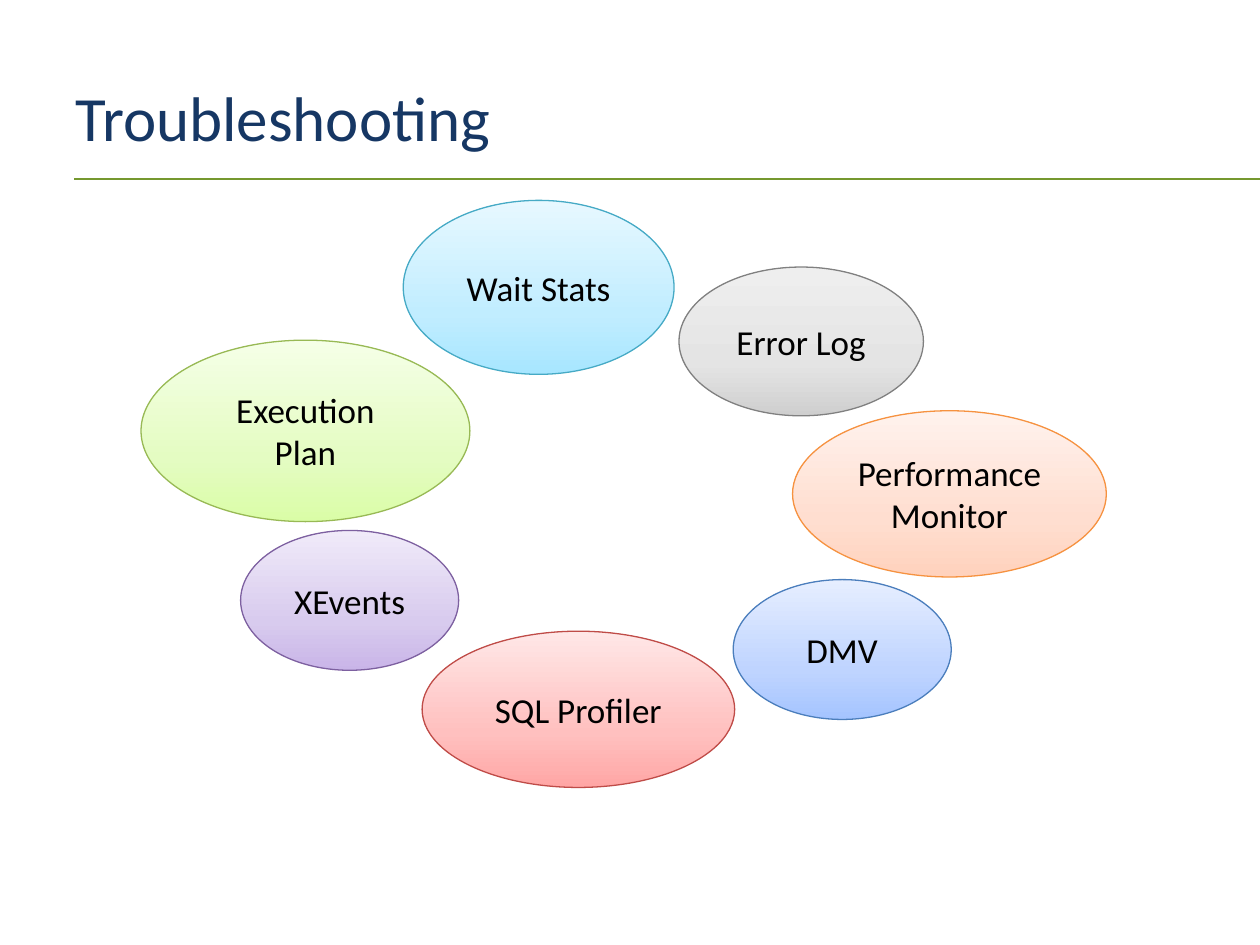
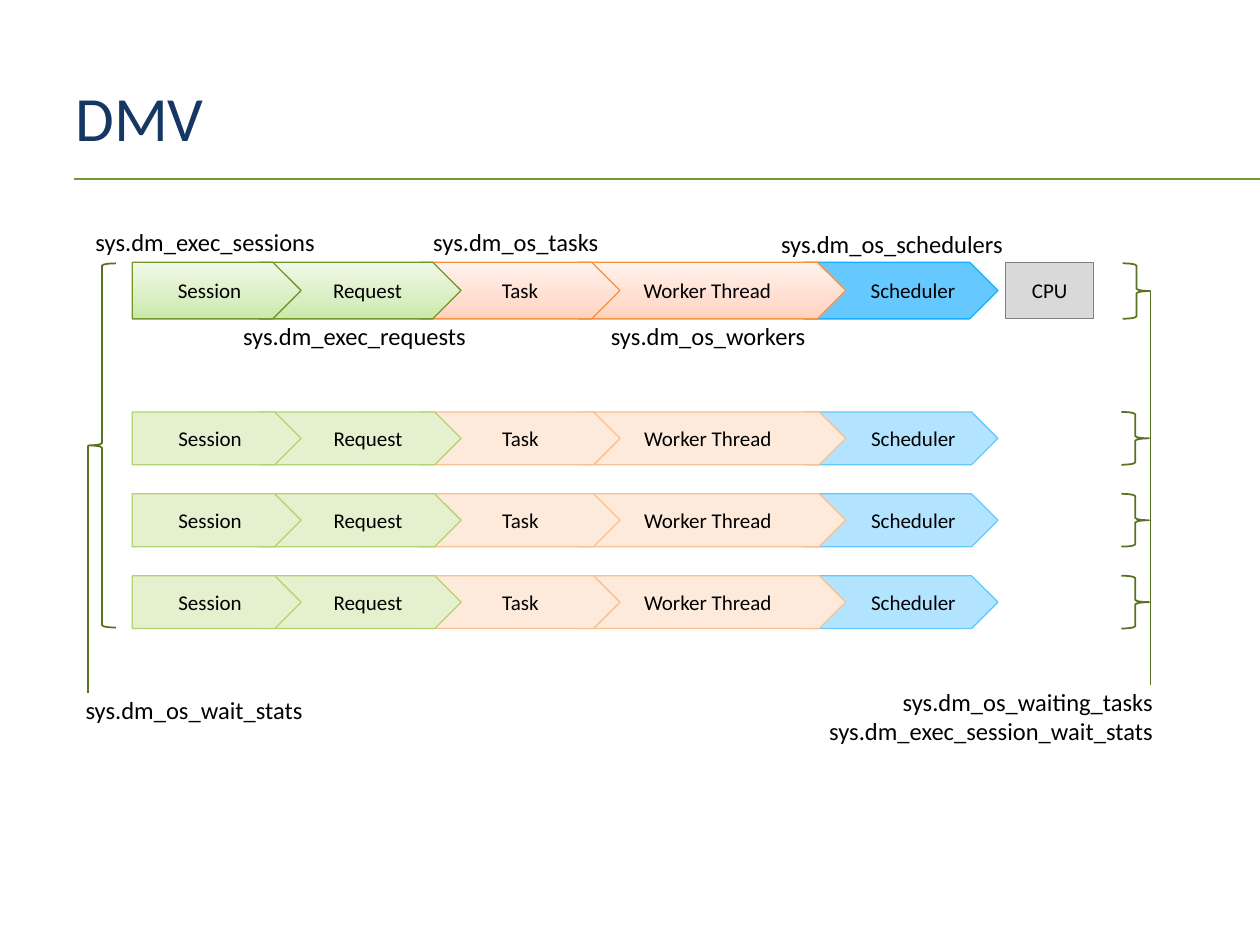
from copy import deepcopy

from pptx import Presentation
from pptx.dml.color import RGBColor
from pptx.enum.shapes import MSO_CONNECTOR, MSO_SHAPE as Preset
from pptx.enum.text import MSO_ANCHOR as Anchor, PP_ALIGN as Align
from pptx.oxml.ns import qn
from pptx.util import Pt

# Shared style
FONT = "Calibri"
BLACK, NAVY, RULE, BRACE = "000000", "163764", "75982F", "587223"
GRAY, ORANGE_EDGE = "808080", "F69240"
ORANGE = ("FFD2BD", "FFDED0", "FFF2ED")  # gradient, bottom to top
GREEN = ("CBE9A9", "DAEEC3", "F1F9E8")
STOPS = (0, 0.35, 1)


def color(code):
    return RGBColor.from_string(code)


class Deck:
    def __init__(self):
        self.prs = Presentation()
        self.prs.slide_width, self.prs.slide_height = Pt(720), Pt(540)
        self.slide = None

    def new_slide(self, title):
        self.slide = self.prs.slides.add_slide(self.prs.slide_layouts[6])
        self.line(42.5, 102.2, 720, 102.2, RULE)
        self.label(title, 36, 21.6, 648, 90, size=36, ink=NAVY,
                   wrap=True, anchor=Anchor.MIDDLE)

    def set_text(self, frame, text, size, ink, align):
        frame.text = text
        for paragraph in frame.paragraphs:
            paragraph.alignment = align
            for run in paragraph.runs:
                run.font.name, run.font.size = FONT, Pt(size)
                run.font.color.rgb = color(ink)

    def label(self, text, x, y, w, h=24.5, size=14, ink=BLACK,
              align=Align.LEFT, wrap=False, anchor=Anchor.TOP):
        frame = self.slide.shapes.add_textbox(Pt(x), Pt(y), Pt(w), Pt(h)).text_frame
        frame.word_wrap, frame.vertical_anchor = wrap, anchor
        self.set_text(frame, text, size, ink, align)

    def outline(self, preset, x, y, w, h, edge, width):
        shape = self.slide.shapes.add_shape(preset, Pt(x), Pt(y), Pt(w), Pt(h))
        shape.shadow.inherit = False
        shape.line.color.rgb, shape.line.width = color(edge), Pt(width)
        return shape

    def block(self, preset, text, x, y, w, h, fill, edge, size, indent=0):
        """A filled shape; a tuple as fill is a three-stop gradient."""
        shape = self.outline(preset, x, y, w, h, edge, 0.75)
        if isinstance(fill, tuple):
            self.gradient(shape, fill)
        else:
            shape.fill.solid()
            shape.fill.fore_color.rgb = color(fill)
        frame = shape.text_frame
        frame.word_wrap, frame.vertical_anchor = True, Anchor.MIDDLE
        frame.margin_left = Pt(7.2 + indent)
        self.set_text(frame, text, size, BLACK, Align.CENTER)

    def gradient(self, shape, codes):
        shape.fill.gradient()
        shape.fill.gradient_angle = 90
        stop_list = shape._element.spPr.find(qn("a:gradFill")).find(qn("a:gsLst"))
        stop_list.append(deepcopy(stop_list[0]))
        for stop, position, code in zip(shape.fill.gradient_stops, STOPS, codes):
            stop.position, stop.color.rgb = position, color(code)

    def brace(self, preset, x, y, h):
        self.outline(preset, x, y, 15.8, h, BRACE, 1).fill.background()

    def line(self, x1, y1, x2, y2, ink):
        line = self.slide.shapes.add_connector(
            MSO_CONNECTOR.STRAIGHT, Pt(x1), Pt(y1), Pt(x2), Pt(y2))
        line.line.color.rgb, line.line.width = color(ink), Pt(1)
        properties = line._element.spPr
        properties.append(properties.makeelement(qn("a:effectLst"), {}))


deck = Deck()

# Slide 1: ring of troubleshooting tools
deck.new_slide("Troubleshooting")
TOOLS = [
    ("Error Log", 388, 152.6, 139.7, 85, ("CFCFCF", "E4E4E4", "EEEEEE"), GRAY),
    ("Performance Monitor", 452.9, 234.7, 179.3, 95, ORANGE, ORANGE_EDGE),
    ("DMV", 419, 331.2, 124.6, 79.9, ("A4C4FF", "BFD4FF", "E6EEFF"), "4B7EBC"),
    ("SQL Profiler", 241.2, 360.7, 178.6, 89.3, ("FFA6A5", "FFC0BF", "FFE7E7"), "BF4C48"),
    ("Execution Plan", 80.6, 194.4, 187.9, 103.7, ("DAFDA7", "E4FCC2", "F5FFE7"), "98B955"),
    ("XEvents", 137.5, 303.1, 124.6, 79.9, ("C9B5E8", "D8CBEE", "F0EAF9"), "7D60A0"),
    ("Wait Stats", 230.4, 114.5, 154.8, 99.4, ("A7E6FF", "C1EDFF", "E7F8FF"), "46AAC5"),
]
for tool in TOOLS:
    deck.block(Preset.OVAL, *tool, size=20)

# Slide 2: request pipeline and the views that describe it
deck.new_slide("DMV")
deck.block(Preset.RECTANGLE, "CPU", 574.6, 149.8, 50.4, 32.4, "D9D9D9", GRAY, 12)

# Stage: name, left, width, indent, active fill and edge, pale fill and edge
PALE_GREEN, PALE_ORANGE = ("E5F0CF", "B2D370"), ("FDEADA", "FAC090")
STAGES = [
    ("Scheduler", 459.4, 110.9, 21.7, ("65C9FF", "17AFFF"), ("B2E4FF", "65C9FF")),
    ("Worker Thread", 330.5, 152.8, 2.7, (ORANGE, ORANGE_EDGE), PALE_ORANGE),
    ("Task", 239.8, 114.5, 8.1, (ORANGE, ORANGE_EDGE), PALE_ORANGE),
    ("Request", 148.3, 115.2, 16.3, (GREEN, "73972B"), PALE_GREEN),
    ("Session", 75.6, 96.5, 0, (GREEN, "73972B"), PALE_GREEN),
]
pale_tops = [235.4 + 46.8 * row for row in range(3)]
rows = [(149.8, 32.4, True)] + [(top, 30.2, False) for top in pale_tops]
for top, height, active in rows:
    for name, left, width, indent, vivid, pale in STAGES:
        fill, edge = vivid if active else pale
        deck.block(Preset.PENTAGON, name, left, top, width, height,
                   fill, edge, 12, indent)

# View names
deck.label("sys.dm_os_workers", 342, 180, 151.2, wrap=True)
for view, left, top, width in [
    ("sys.dm_exec_sessions", 47.5, 126, 141.1),
    ("sys.dm_os_tasks", 240.5, 126, 110.2),
    ("sys.dm_exec_requests", 131.8, 180, 143.3),
    ("sys.dm_os_schedulers", 439.2, 127.4, 142.6),
    ("sys.dm_os_wait_stats", 41.8, 393.8, 139.7),
]:
    deck.label(view, left, top, width)
deck.label("sys.dm_os_waiting_tasks\nsys.dm_exec_session_wait_stats",
           464.4, 388.8, 201.6, 41, align=Align.RIGHT)

# Braces and their stems
for top in pale_tops:
    deck.brace(Preset.RIGHT_BRACE, 640.8, top, 30.2)
deck.brace(Preset.RIGHT_BRACE, 641.5, 150.5, 31.7)
deck.line(657.4, 166.3, 657.4, 391.7, BRACE)
deck.brace(Preset.LEFT_BRACE, 50.4, 150.5, 208.1)
deck.line(50.4, 254.9, 50.4, 396, BRACE)

deck.prs.save("out.pptx")
